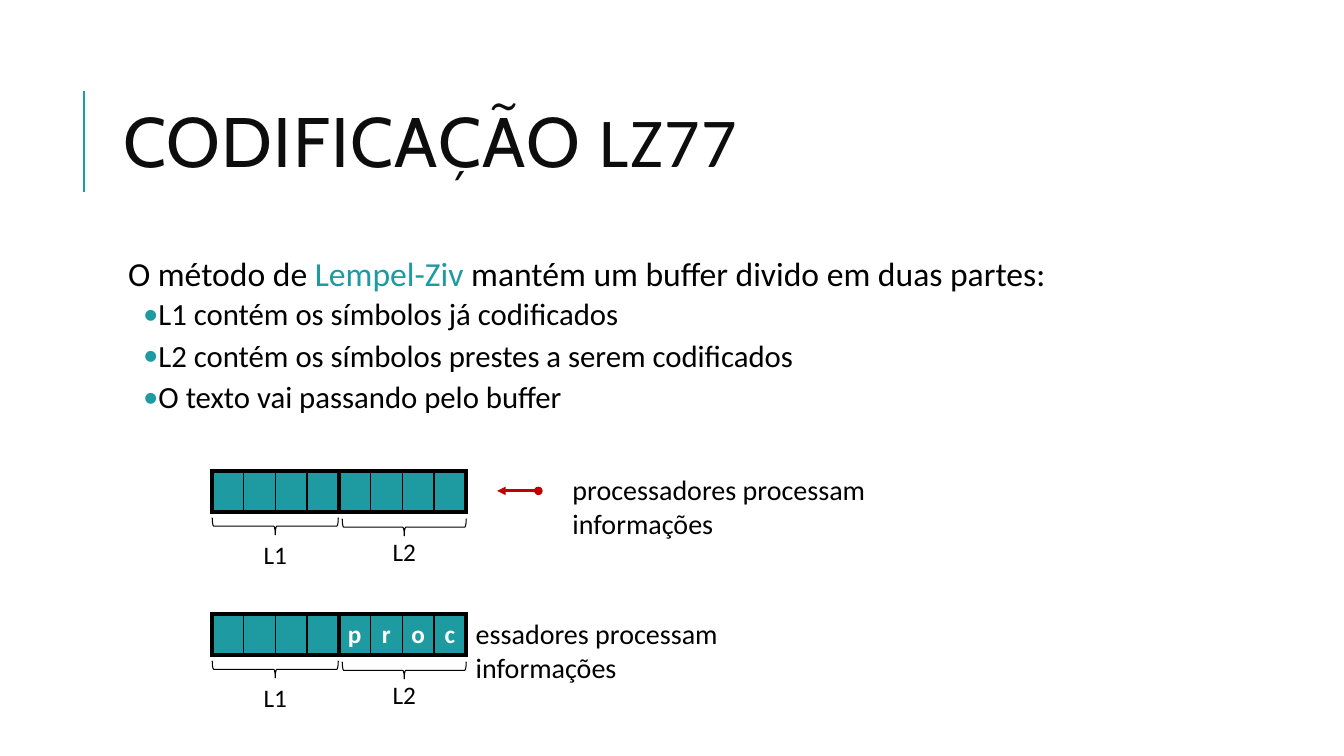
from lxml import etree
from pptx import Presentation, util as u
from pptx.dml import color
from pptx.enum import shapes, text
from pptx.oxml import ns

WIDTH, HEIGHT = 13.33, 7.5
TEAL, BLACK, RED = "1D9BA1", "000000", "C00000"
CELLS = 8
HALF = CELLS // 2
BUFFER_LEFT, BUFFER_WIDTH, BUFFER_HEIGHT = 2.1, 2.52, 0.41
FIRST_ROW, ROW_STEP = 4.67, 1.42
PARTS = [("L1", 2.73, 1.25, 0.47, 0.63), ("L2", 4.01, 1.23, 0.48, 0.6)]


def rgb(code):
    return color.RGBColor.from_string(code)


def child(parent, tag, **attributes):
    return etree.SubElement(parent, ns.qn(tag), attributes)


def style(font, size, code=BLACK, name="Calibri"):
    font.size, font.name = u.Pt(size), name
    font.color.rgb = rgb(code)


def place(shape, left, top, width, height):
    shape.left, shape.top = u.Inches(left), u.Inches(top)
    shape.width, shape.height = u.Inches(width), u.Inches(height)


def add_bullet(para, char, code, left, hanging):
    props = para._p.get_or_add_pPr()
    props.set("marL", str(u.Inches(left)))
    props.set("indent", str(-u.Inches(hanging)))
    child(child(props, "a:buClr"), "a:srgbClr", val=code)
    child(props, "a:buFont", typeface="Calibri")
    child(props, "a:buChar", char=char)


def fill_title(box):
    place(box, 1.12, 0.64, 10.63, 1.64)
    frame = box.text_frame
    frame.auto_size = text.MSO_AUTO_SIZE.NONE
    frame.vertical_anchor = text.MSO_ANCHOR.MIDDLE
    para = frame.paragraphs[0]
    para.alignment, para.line_spacing = text.PP_ALIGN.LEFT, 0.8
    for words, name in [("CODIFICAÇÃO ", "Cabin"), ("LZ77", "Calibri")]:
        span = para.add_run()
        span.text = words
        style(span.font, 50, "0D0D0D", name)
        span._r.get_or_add_rPr().set("spc", "100")


def fill_body(box):
    place(box, 1.12, 2.5, 10.63, 4.4)
    frame = box.text_frame
    frame.auto_size = text.MSO_AUTO_SIZE.NONE
    frame.vertical_anchor = text.MSO_ANCHOR.TOP
    frame.margin_left = frame.margin_right = u.Inches(0.05)
    frame.margin_top = frame.margin_bottom = u.Inches(0.05)
    para = frame.paragraphs[0]
    para.line_spacing, para.space_before, para.space_after = 0.9, u.Pt(0), u.Pt(2)
    add_bullet(para, " ", TEAL, 0.1, 0.1)
    style(para.font, 24)
    for words, code in [("O método de ", BLACK), ("Lempel-Ziv", TEAL),
                        (" mantém um buffer divido em duas partes:", BLACK)]:
        span = para.add_run()
        span.text = words
        span.font.color.rgb = rgb(code)
    for words in ["L1 contém os símbolos já codificados",
                  "L2 contém os símbolos prestes a serem codificados",
                  "O texto vai passando pelo buffer"]:
        para = frame.add_paragraph()
        para.text, para.level = words, 1
        para.line_spacing, para.space_before, para.space_after = 0.9, u.Pt(2), u.Pt(4)
        add_bullet(para, "•", TEAL, 0.4, 0.15)
        style(para.font, 22)


def add_line(page, start, end, code, width, ends=()):
    points = [u.Inches(value) for value in (*start, *end)]
    line = page.shapes.add_connector(shapes.MSO_CONNECTOR.STRAIGHT, *points)
    line.line.color.rgb, line.line.width = rgb(code), u.Pt(width)
    stroke = line.line._get_or_add_ln()
    for tag, kind in ends:
        child(stroke, tag, type=kind)
    child(line._element.spPr, "a:effectLst")


def add_label(page, words, left, top, width, size, align=text.PP_ALIGN.LEFT):
    box = page.shapes.add_textbox(0, 0, 0, 0)
    place(box, left, top, width, 0.4)
    box.text_frame.word_wrap = True
    para = box.text_frame.paragraphs[0]
    para.text, para.alignment = words, align
    style(para.font, size)


def add_brace(page, center, middle, length):
    thickness = 0.17
    brace = page.shapes.add_shape(shapes.MSO_SHAPE.LEFT_BRACE, 0, 0, 0, 0)
    place(brace, center - thickness / 2, middle - length / 2, thickness, length)
    brace.rotation = 90
    brace._element.spPr.get_or_add_xfrm().set("flipH", "1")
    brace.shadow.inherit = False
    brace.fill.background()
    brace.line.color.rgb, brace.line.width = rgb(BLACK), u.Pt(0.75)


def set_borders(cell, column):
    left = 3 if column % HALF == 0 else 1
    right = 3 if column % HALF == HALF - 1 else 1
    props = cell._tc.get_or_add_tcPr()
    for tag, width in [("a:lnL", left), ("a:lnR", right), ("a:lnT", 3), ("a:lnB", 3)]:
        border = child(props, tag, w=str(u.Pt(width)))
        child(child(border, "a:solidFill"), "a:srgbClr", val=BLACK)


def add_buffer(page, top, letters):
    frame = page.shapes.add_table(1, CELLS, u.Inches(BUFFER_LEFT), u.Inches(top),
                                  u.Inches(BUFFER_WIDTH), u.Inches(BUFFER_HEIGHT))
    table = frame.table
    table.first_row = table.horz_banding = False
    for column, letter in enumerate(letters.rjust(CELLS)):
        cell = table.cell(0, column)
        cell.margin_left = cell.margin_right = 0
        cell.vertical_anchor = text.MSO_ANCHOR.MIDDLE
        set_borders(cell, column)
        cell.fill.solid()
        cell.fill.fore_color.rgb = rgb(TEAL)
        para = cell.text_frame.paragraphs[0]
        para.text, para.alignment = letter.strip(), text.PP_ALIGN.CENTER
        style(para.font, 18, "FFFFFF")
        para.font.bold = True
    for name, center, length, brace_drop, label_drop in PARTS:
        add_brace(page, center, top + brace_drop + 0.08, length)
        add_label(page, name, center - 0.25, top + label_drop, 0.5, 18,
                  text.PP_ALIGN.CENTER)


def main():
    deck = Presentation()
    deck.slide_width, deck.slide_height = u.Inches(WIDTH), u.Inches(HEIGHT)
    page = deck.slides.add_slide(deck.slide_layouts[1])
    fill_title(page.shapes.title)
    fill_body(page.placeholders[1])
    add_line(page, (0.83, 1.9), (0.83, 0.9), TEAL, 1.5)
    for row, letters in enumerate(["", "proc"]):
        add_buffer(page, FIRST_ROW + row * ROW_STEP, letters)
    add_line(page, (4.93, 4.87), (5.34, 4.87), RED, 2,
             [("a:headEnd", "triangle"), ("a:tailEnd", "oval")])
    add_label(page, "processadores processam informações", 5.58, 4.64, 4.44, 20)
    add_label(page, "essadores processam informações", 4.62, 6.07, 3.95, 20)
    deck.save("out.pptx")


if __name__ == "__main__":
    main()
